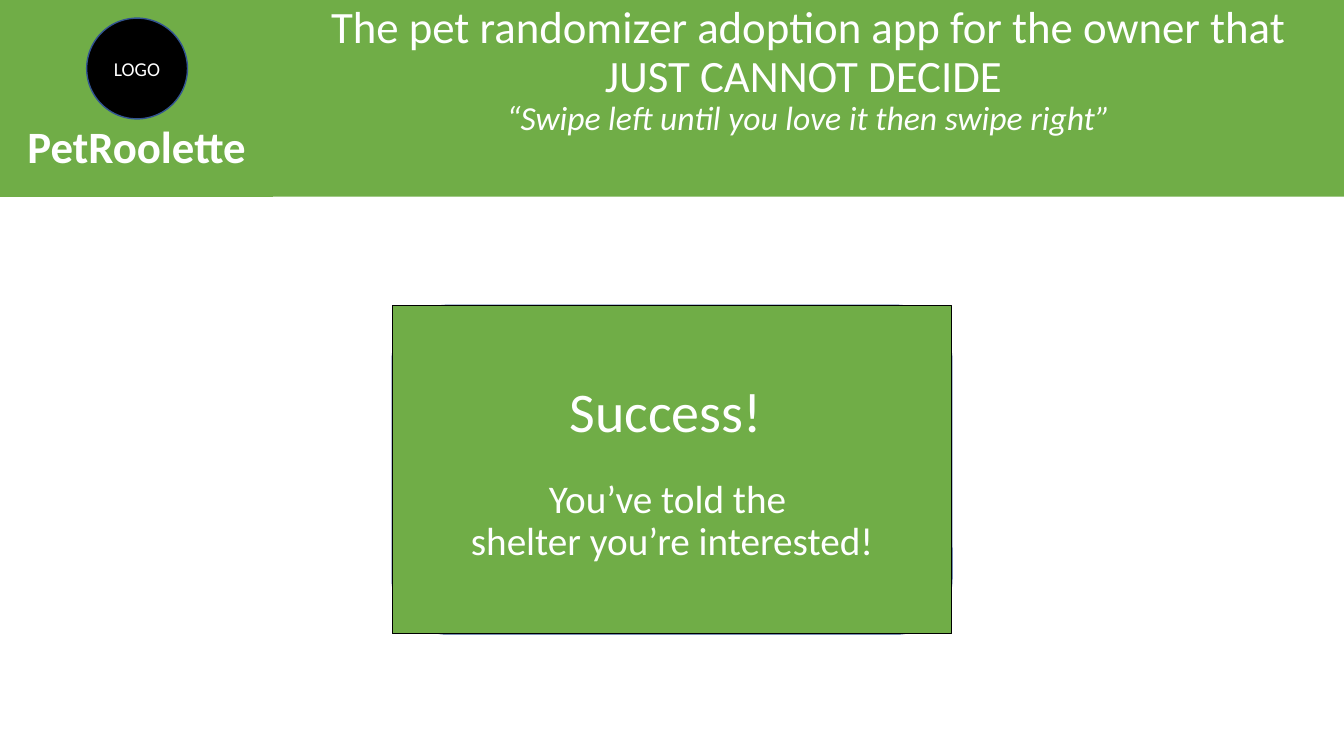
"""Build the PetRoolette adoption success slide."""
import pptx
import pptx.util
import pptx.dml.color
import pptx.enum.shapes
import pptx.enum.text

Inches = pptx.util.Inches
Pt = pptx.util.Pt
RGB = pptx.dml.color.RGBColor
SHAPE = pptx.enum.shapes.MSO_SHAPE
ANCHOR = pptx.enum.text.MSO_ANCHOR

GREEN = RGB(0x70, 0xAD, 0x47)
BLUE = RGB(0x44, 0x72, 0xC4)
NAVY = RGB(0x32, 0x54, 0x91)
BLACK = RGB(0, 0, 0)
WHITE = RGB(255, 255, 255)


class Deck:
    """Hold the style and the current slide."""

    font = {"name": "Calibri", "bold": False, "italic": False}

    def __init__(self, prs):
        self.slide = prs.slides.add_slide(prs.slide_layouts[5])

    def title(self, box, fill, paras, **fmt):
        """Move and format the title placeholder."""
        sp = self.slide.shapes.title
        for name, value in zip(("left", "top", "width", "height"), box):
            setattr(sp, name, Inches(value))
        sp.fill.solid()
        sp.fill.fore_color.rgb = fill
        self.text(sp, paras, **fmt)

    def shape(self, kind, box, fill, line=None, weight=1):
        """Add a filled preset shape."""
        sp = self.slide.shapes.add_shape(kind, *map(Inches, box))
        sp.shadow.inherit = False
        sp.fill.solid()
        sp.fill.fore_color.rgb = fill
        if line is None:
            sp.line.fill.background()
        else:
            sp.line.color.rgb = line
            sp.line.width = Pt(weight)
        return sp

    def text(self, sp, paras, inset=0.05, anchor=ANCHOR.TOP, spacing=0.9):
        """Write centred paragraphs given as (text, font formats, space before)."""
        tf = sp.text_frame
        frame = {"word_wrap": True, "auto_size": pptx.enum.text.MSO_AUTO_SIZE.NONE,
                 "vertical_anchor": anchor, "margin_top": Inches(inset)}
        for name, value in frame.items():
            setattr(tf, name, value)
        for i, (text, fmt, before) in enumerate(paras):
            p = tf.add_paragraph() if i else tf.paragraphs[0]
            p.text = text
            para = {"alignment": pptx.enum.text.PP_ALIGN.CENTER,
                    "line_spacing": spacing, "space_before": Pt(before)}
            for name, value in para.items():
                setattr(p, name, value)
            for r in p.runs:
                for name, value in {**self.font, **fmt}.items():
                    setattr(r.font, name, value)
                r.font.color.rgb = WHITE


def main():
    """Draw the header and the success card."""
    prs = pptx.Presentation()
    prs.slide_width, prs.slide_height = Inches(13.33), Inches(7.5)
    s = Deck(prs)
    side, header = 2.71, 1.95
    card = (3.89, 3.03, 5.55, 3.26)

    s.title((side, 0, 13.33 - side, header), GREEN, [
        ("The pet randomizer adoption app for the owner that\v"
         "JUST CANNOT DECIDE ", {"size": Pt(32)}, 0),
        ("“Swipe left until you love it then swipe right”",
         {"size": Pt(24), "italic": True}, 0)])

    s.shape(SHAPE.ROUNDED_RECTANGLE, card, BLUE, NAVY)
    sp = s.shape(SHAPE.RECTANGLE, card, GREEN, BLACK, 0.75)
    s.text(sp, [
        ("Success! ", {"size": Pt(40)}, 0),
        ("You’ve told the \vshelter you’re interested!", {"size": Pt(28)}, 25)],
        inset=0.78)

    sp = s.shape(SHAPE.FLOWCHART_PROCESS, (0, 0, side, header), GREEN)
    s.text(sp, [("PetRoolette", {"size": Pt(32), "bold": True}, 0)],
           inset=1.18, spacing=1.0)
    sp = s.shape(SHAPE.OVAL, (0.86, 0.18, 1, 1), BLACK, NAVY)
    s.text(sp, [("LOGO", {"size": Pt(14)}, 0)], anchor=ANCHOR.MIDDLE, spacing=1.0)

    prs.save("out.pptx")


main()
